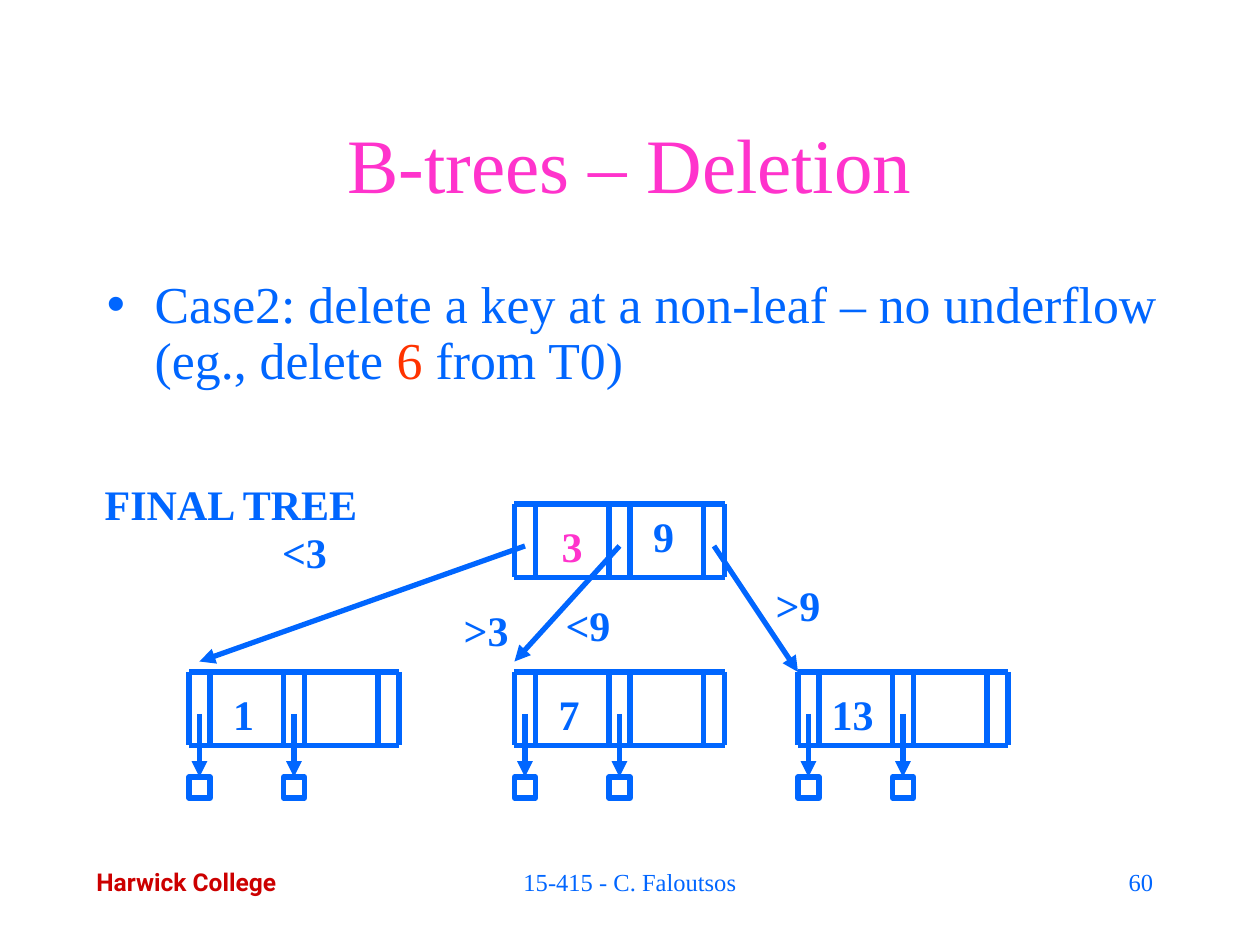
from dataclasses import dataclass
from lxml.etree import SubElement
from pptx import Presentation
from pptx.dml.color import RGBColor
from pptx.enum.shapes import MSO_CONNECTOR, MSO_SHAPE
from pptx.enum.text import MSO_ANCHOR, PP_ALIGN
from pptx.oxml.ns import qn
from pptx.util import Inches, Pt


@dataclass(frozen=True)
class Theme:
    blue: str = "0066FF"
    pink: str = "FF33CC"
    red: str = "FF3300"
    brand: str = "CC0000"
    white: str = "FFFFFF"
    serif: str = "Times New Roman"
    sans: str = "Roboto"
    title: float = 44
    body: float = 29.6
    label: float = 24
    foot: float = 14
    line: float = 3


THEME = Theme()
WIDE, HIGH = 10, 7.5
COLS = 120
UNIT = WIDE / COLS
LEFT, MID, RIGHT = PP_ALIGN.LEFT, PP_ALIGN.CENTER, PP_ALIGN.RIGHT

TITLE = "B-trees – Deletion"
BODY = [
    ("Case2: delete a key at a non-leaf – no underflow (eg., delete ", THEME.blue),
    ("6", THEME.red),
    (" from T0)", THEME.blue),
]
ROOT = (49, 48)
LEAVES = [("13", 76), ("7", 49), ("1", 18)]
LEAF_ROW = 64
EDGES = [0, 2, 9, 11, 18, 20]
SLOTS = [1, 10]
TALL, PORT, DROP, BOX = 7, 4, 10, 2
KEY_COL, KEY_ROW, KEY_WIDE = 5.2, 1, 8
LINKS = [(50, 19, 63), (59, 49, 63), (68, 76, 64)]
LABELS = [
    ("9", 63.2, 48, THEME.blue),
    ("<3", 29, 49.6, THEME.blue),
    (">3", 46.3, 57, THEME.blue),
    ("<9", 56, 56.5, THEME.blue),
    (">9", 76, 54.6, THEME.blue),
    ("3", 54.5, 49, THEME.pink),
]
FOOT = [
    ("Harwick College", 8, 26, LEFT, THEME.brand, THEME.sans, True),
    ("15-415 - C. Faloutsos", 41, 38, MID, THEME.blue, THEME.serif, False),
    ("60", 86, 25, RIGHT, THEME.blue, THEME.serif, False),
]


def span(*cells):
    return [Inches(cell * UNIT) for cell in cells]


def ink(color):
    return RGBColor.from_string(color)


def write(slide, area, text, size, color=THEME.blue, face=THEME.serif,
          bold=False, align=MID):
    frame = slide.shapes.add_textbox(*span(*area)).text_frame
    frame.word_wrap = True
    para = frame.paragraphs[0]
    para.alignment = align
    font = para.font
    font.name, font.size, font.bold = face, Pt(size), bold
    font.color.rgb = ink(color)
    for part, tint in [(text, color)] if isinstance(text, str) else text:
        run = para.add_run()
        run.text = part
        run.font.color.rgb = ink(tint)
    return frame


def stroke(shapes, *ends, arrow=False):
    line = shapes.add_connector(MSO_CONNECTOR.STRAIGHT, *span(*ends))
    line.line.color.rgb = ink(THEME.blue)
    line.line.width = Pt(THEME.line)
    if arrow:
        SubElement(line.line._get_or_add_ln(), qn("a:tailEnd"), type="triangle")
    SubElement(line._element.spPr, qn("a:effectLst"))
    return line


def node(slide, col, row):
    group = slide.shapes.add_group_shape().shapes
    for edge in EDGES:
        stroke(group, col + edge, row, col + edge, row + TALL)
    for side in (row, row + TALL):
        stroke(group, col, side, col + EDGES[-1], side)


def leaf(slide, key, col):
    node(slide, col, LEAF_ROW)
    foot = LEAF_ROW + DROP
    for slot in SLOTS:
        x = col + slot
        box = slide.shapes.add_shape(
            MSO_SHAPE.RECTANGLE, *span(x - BOX / 2, foot, BOX, BOX))
        box.shadow.inherit = False
        box.fill.solid()
        box.fill.fore_color.rgb = ink(THEME.white)
        box.line.color.rgb = ink(THEME.blue)
        box.line.width = Pt(THEME.line)
        drop = stroke(slide.shapes, x, LEAF_ROW + PORT, x, foot, arrow=True)
        drop.end_connect(box, 0)
    mark(slide, key, col + KEY_COL, LEAF_ROW + KEY_ROW)


def mark(slide, text, mid, row, color=THEME.blue, wide=KEY_WIDE):
    write(slide, (mid - wide / 2, row, wide, 6), text, THEME.label, color, bold=True)


def bullet(para):
    para.line_spacing = 0.9
    props = para._p.get_or_add_pPr()
    props.set("marL", str(Inches(0.38)))
    props.set("indent", str(Inches(-0.38)))
    SubElement(props, qn("a:buFont"), typeface="Arial")
    SubElement(props, qn("a:buChar"), char="•")
    font = props.find(qn("a:defRPr"))
    if font is not None:
        props.append(font)


def main():
    deck = Presentation()
    deck.slide_width, deck.slide_height = Inches(WIDE), Inches(HIGH)
    slide = deck.slides.add_slide(deck.slide_layouts[6])

    for text, col, wide, align, color, face, bold in FOOT:
        write(slide, (col, 82, wide, 6), text, THEME.foot, color, face, bold, align)
    head = write(slide, (9, 8, 102, 15), TITLE, THEME.title, THEME.pink)
    head.vertical_anchor = MSO_ANCHOR.MIDDLE
    body = write(slide, (9, 26, 103, 14), BODY, THEME.body, align=LEFT)
    bullet(body.paragraphs[0])

    node(slide, *ROOT)
    for key, col in LEAVES:
        leaf(slide, key, col)
    for start, col, row in LINKS:
        stroke(slide.shapes, start, ROOT[1] + PORT, col, row, arrow=True)
    for label in LABELS:
        mark(slide, *label)
    mark(slide, "FINAL TREE", 22, 45, wide=30)
    deck.save("out.pptx")


if __name__ == "__main__":
    main()
